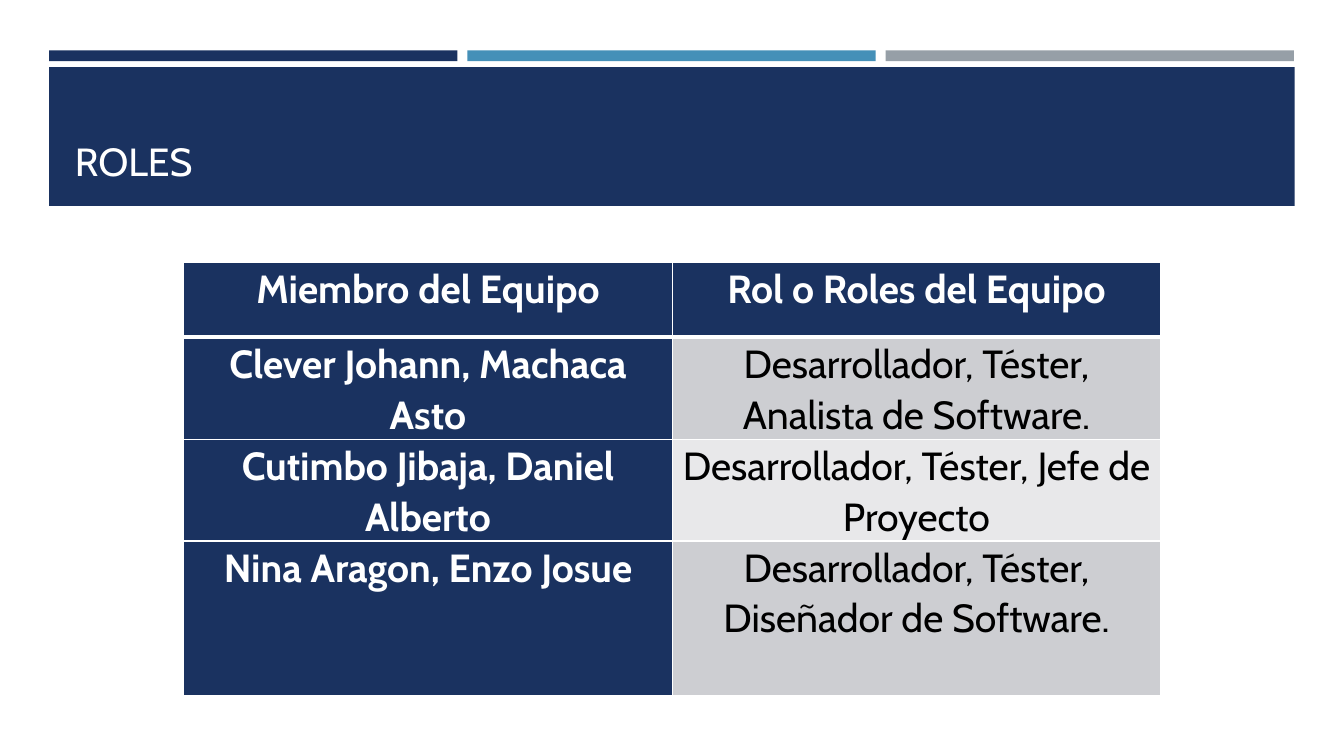
from dataclasses import dataclass

from lxml.etree import SubElement
from pptx import Presentation
from pptx.dml.color import RGBColor
from pptx.enum.shapes import MSO_SHAPE
from pptx.enum.text import MSO_ANCHOR, MSO_AUTO_SIZE, PP_ALIGN
from pptx.oxml.ns import qn
from pptx.util import Cm, Pt

COLORS = {
    "navy": "1A3260",
    "blue": "4590B8",
    "gray": "969FA7",
    "band_dark": "CDCED2",
    "band_light": "E8E8EA",
    "white": "FFFFFF",
    "black": "000000",
}
FONT = "Cabin"
TEXT_SIZE = Pt(28)


@dataclass
class Bar:
    left: float
    top: float
    width: float
    height: float
    color: str


@dataclass
class RoleRow:
    member: str
    roles: str
    height: float


MARGIN, STRIPE_WIDTH, STRIPE_STEP = 1.24, 10.29, 10.54
BARS = [
    Bar(MARGIN + index * STRIPE_STEP, 1.27, STRIPE_WIDTH, 0.27, color)
    for index, color in enumerate(("navy", "blue", "gray"))
] + [Bar(MARGIN, 1.69, 31.39, 3.5, "navy")]

ROWS = [
    RoleRow("Miembro del Equipo", "Rol o Roles del Equipo", 1.9),
    RoleRow("Clever Johann, Machaca Asto",
            "Desarrollador, Téster, Analista de Software.", 2.55),
    RoleRow("Cutimbo Jibaja, Daniel Alberto",
            "Desarrollador, Téster, Jefe de Proyecto", 2.55),
    RoleRow("Nina Aragon, Enzo Josue",
            "Desarrollador, Téster, Diseñador de Software.", 3.89),
]


def rgb(name: str) -> RGBColor:
    return RGBColor.from_string(COLORS[name])


def add_text(paragraph, text: str, color: str, bold: bool) -> None:
    run = paragraph.add_run()
    run.text = text
    run.font.name = FONT
    run.font.size = TEXT_SIZE
    run.font.bold = bold
    run.font.color.rgb = rgb(color)


def add_bar(slide, bar: Bar) -> None:
    shape = slide.shapes.add_shape(
        MSO_SHAPE.RECTANGLE,
        Cm(bar.left), Cm(bar.top), Cm(bar.width), Cm(bar.height))
    shape.shadow.inherit = False
    shape.fill.solid()
    shape.fill.fore_color.rgb = rgb(bar.color)
    shape.line.fill.background()


def add_title(slide, text: str) -> None:
    title = slide.shapes.title
    title.left, title.top = Cm(1.63), Cm(2.03)
    title.width, title.height = Cm(30.63), Cm(2.74)
    frame = title.text_frame
    frame.auto_size = MSO_AUTO_SIZE.NONE
    frame.vertical_anchor = MSO_ANCHOR.BOTTOM
    paragraph = frame.paragraphs[0]
    paragraph.alignment = PP_ALIGN.LEFT
    add_text(paragraph, text, "white", False)
    # The title stands in front of its band
    slide.shapes._spTree.append(title._element)


def set_borders(cell, widths: dict[str, int]) -> None:
    properties = cell._tc.get_or_add_tcPr()
    for side, width in widths.items():
        line = SubElement(properties, qn(f"a:ln{side}"), w=str(Pt(width)))
        fill = SubElement(line, qn("a:solidFill"))
        SubElement(fill, qn("a:srgbClr"), val=COLORS["white"])


def format_cell(cell, text: str, row: int, column: int) -> None:
    strong = row == 0 or column == 0
    band = "band_dark" if row % 2 else "band_light"
    set_borders(cell, {"L": 1, "R": 1, "T": 3 if row == 1 else 1,
                       "B": 3 if row == 0 else 1})
    cell.fill.solid()
    cell.fill.fore_color.rgb = rgb("navy" if strong else band)
    cell.margin_left = cell.margin_right = Cm(0.18)
    cell.margin_top = cell.margin_bottom = Cm(0)
    paragraph = cell.text_frame.paragraphs[0]
    paragraph.alignment = PP_ALIGN.CENTER
    paragraph.line_spacing = 1.07
    paragraph.space_after = Pt(7.9)
    add_text(paragraph, text, "white" if strong else "black", strong)


def add_roles_table(slide, rows: list[RoleRow]) -> None:
    height = sum(row.height for row in rows)
    table = slide.shapes.add_table(
        len(rows), 2, Cm(4.63), Cm(6.6), Cm(24.62), Cm(height)).table
    for index, role_row in enumerate(rows):
        table.rows[index].height = Cm(role_row.height)
        for column, text in enumerate((role_row.member, role_row.roles)):
            format_cell(table.cell(index, column), text, index, column)


def main() -> None:
    presentation = Presentation()
    presentation.slide_width, presentation.slide_height = Cm(33.87), Cm(19.05)
    slide = presentation.slides.add_slide(presentation.slide_layouts[5])

    # Stripes and title band
    for bar in BARS:
        add_bar(slide, bar)
    add_title(slide, "ROLES")

    # Team members and their roles
    add_roles_table(slide, ROWS)
    presentation.save("out.pptx")


if __name__ == "__main__":
    main()
